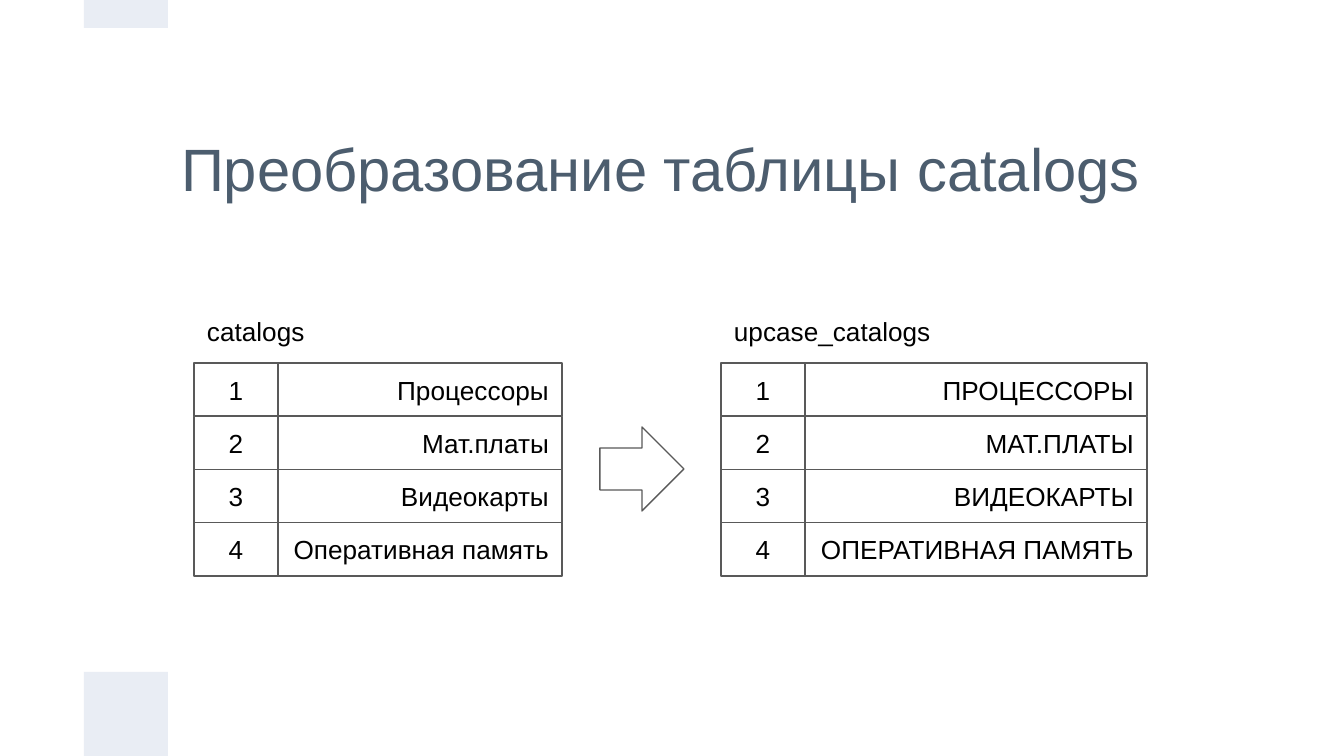
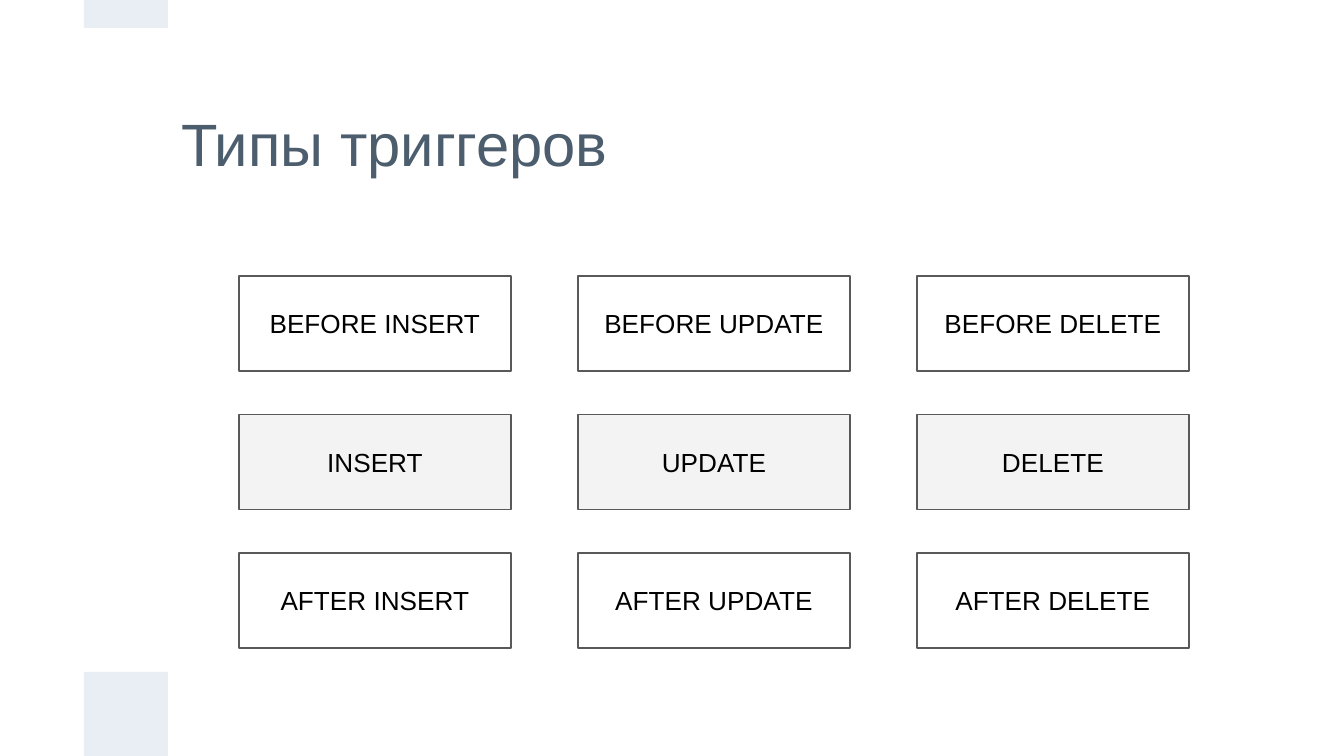
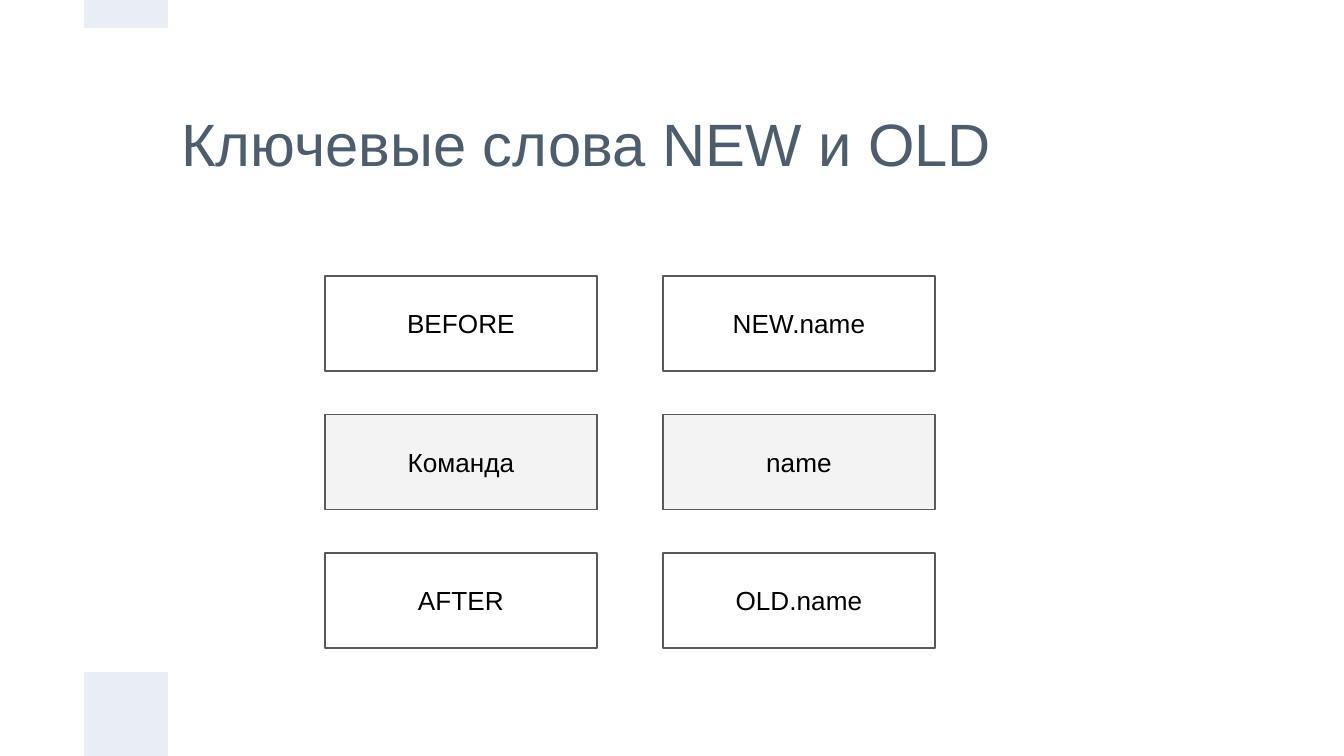
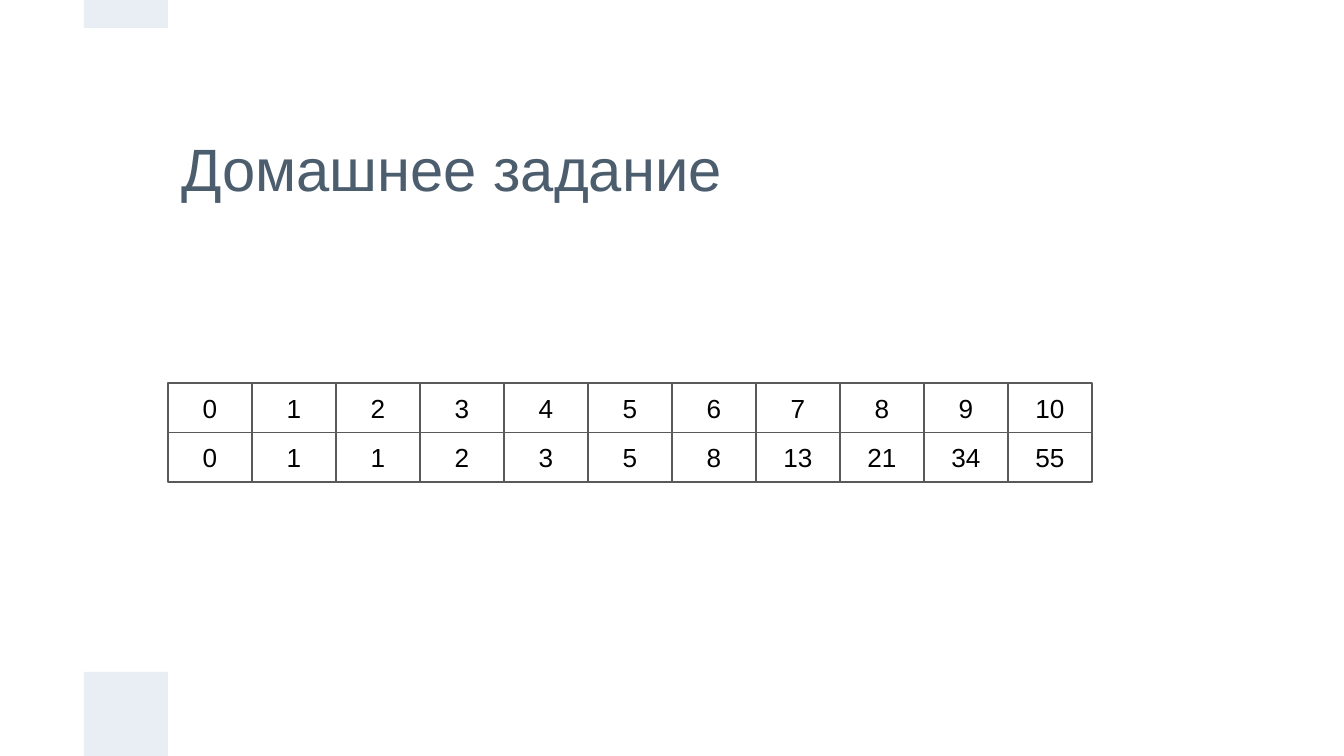
"""Build a four-slide deck on database views, triggers and homework."""
from dataclasses import dataclass

from pptx import Presentation, util as u
from pptx.dml.color import RGBColor
from pptx.enum import shapes, text

EMU_PER_PIXEL = 914400 / 134.4
PAGE_WIDTH, PAGE_HEIGHT = 1344, 756
TITLE_ONLY = 5
LEFT, CENTER, RIGHT = text.PP_ALIGN.LEFT, text.PP_ALIGN.CENTER, text.PP_ALIGN.RIGHT


@dataclass(frozen=True)
class Theme:
    """Colours, type and line sizes shared by all slides."""
    font: str = "Arial"
    title_size: int = 32
    body_size: int = 14
    title: str = "4C5D6E"
    body: str = "000000"
    band: str = "E9EDF4"
    line: str = "595959"
    command: str = "F3F3F3"
    line_width: float = 0.75
    inset: int = 13


@dataclass(frozen=True)
class Box:
    """A rectangle in pixels."""
    left: float
    top: float
    width: float
    height: float

    def emu(self) -> tuple[u.Emu, ...]:
        """Return the four lengths in EMU."""
        return tuple(px(n) for n in (self.left, self.top, self.width, self.height))


@dataclass(frozen=True)
class Column:
    """A stack of cells of equal height that fills a box without gaps."""
    box: Box
    words: tuple[str, ...]
    align: text.PP_ALIGN = CENTER


@dataclass(frozen=True)
class Cards:
    """Equal cards spread over a box; the middle row holds the commands."""
    box: Box
    rows: tuple[tuple[str, ...], ...]
    width: int = 272
    height: int = 95


THEME = Theme()
BANDS = (Box(84, 672, 84, 84), Box(84, 0, 84, 28))
TALL_TITLE = Box(168, 84, 1008, 168)
SHORT_TITLE = Box(168, 84, 1008, 117)
NUMBER_WIDTH = 84


def px(pixels: float) -> u.Emu:
    """Convert pixels to EMU."""
    return u.Emu(round(pixels * EMU_PER_PIXEL))


def write(frame, words: str, align=LEFT, size: int = THEME.body_size,
          color: str = THEME.body, anchor=text.MSO_ANCHOR.MIDDLE, wrap: bool = True) -> None:
    """Put formatted words into a text frame with equal insets."""
    frame.text = words
    frame.auto_size = text.MSO_AUTO_SIZE.NONE
    frame.margin_left = frame.margin_right = px(THEME.inset)
    frame.margin_top = frame.margin_bottom = px(THEME.inset)
    frame.vertical_anchor = anchor
    frame.word_wrap = wrap
    for para in frame.paragraphs:
        para.alignment = align
        for span in para.runs:
            span.font.name = THEME.font
            span.font.size = u.Pt(size)
            span.font.color.rgb = RGBColor.from_string(color)


def add_page(deck, title: str, title_box: Box):
    """Add a slide with its title and the two bands."""
    page = deck.slides.add_slide(deck.slide_layouts[TITLE_ONLY])
    holder = page.shapes.title
    holder.left, holder.top, holder.width, holder.height = title_box.emu()
    write(holder.text_frame, title, size=THEME.title_size, color=THEME.title)
    for band in BANDS:
        add_figure(page, band, fill=THEME.band, outlined=False)
    return page


def add_figure(page, box: Box, kind=shapes.MSO_SHAPE.RECTANGLE,
               fill: str | None = None, outlined: bool = True):
    """Add a flat preset shape, filled or hollow."""
    figure = page.shapes.add_shape(kind, *box.emu())
    figure.shadow.inherit = False
    if fill:
        figure.fill.solid()
        figure.fill.fore_color.rgb = RGBColor.from_string(fill)
    else:
        figure.fill.background()
    if outlined:
        figure.line.color.rgb = RGBColor.from_string(THEME.line)
        figure.line.width = u.Pt(THEME.line_width)
    else:
        figure.line.fill.background()
    return figure


def add_caption(page, box: Box, words: str) -> None:
    """Add a one-line caption."""
    frame = page.shapes.add_textbox(*box.emu()).text_frame
    write(frame, words, anchor=text.MSO_ANCHOR.TOP, wrap=False)


def add_column(page, column: Column) -> None:
    """Add a stack of outlined cells."""
    box = column.box
    height = box.height / len(column.words)
    for i, word in enumerate(column.words):
        cell = add_figure(page, Box(box.left, box.top + i * height, box.width, height))
        write(cell.text_frame, word, column.align)


def add_cards(page, cards: Cards) -> None:
    """Add rows of cards, with the middle row shaded."""
    box, rows = cards.box, cards.rows
    across = (box.width - cards.width) / (len(rows[0]) - 1)
    down = (box.height - cards.height) / (len(rows) - 1)
    for i, words in enumerate(rows):
        fill = THEME.command if i == len(rows) // 2 else None
        for j, word in enumerate(words):
            place = Box(box.left + j * across, box.top + i * down, cards.width, cards.height)
            write(add_figure(page, place, fill=fill).text_frame, word, CENTER)


def add_catalog(page, name: str, left: int, caption_width: int, item_width: int,
                items: tuple[str, ...]) -> None:
    """Add a captioned list of numbered items."""
    top, height = 363, 213
    numbers = tuple(str(n) for n in range(1, len(items) + 1))
    add_column(page, Column(Box(left, top, NUMBER_WIDTH, height), numbers))
    add_column(page, Column(Box(left + NUMBER_WIDTH, top, item_width, height), items, RIGHT))
    add_caption(page, Box(left, 302, caption_width, 60), name)


def build_catalogs(deck) -> None:
    """Show a table before and after conversion to upper case."""
    items = ("Процессоры", "Мат.платы", "Видеокарты", "Оперативная память")
    page = add_page(deck, "Преобразование таблицы catalogs", TALL_TITLE)
    add_catalog(page, "catalogs", 194, 125, 284, items)
    add_catalog(page, "upcase_catalogs", 721, 234, 342, tuple(item.upper() for item in items))
    add_figure(page, Box(600, 427, 84, 84), shapes.MSO_SHAPE.RIGHT_ARROW)


def build_triggers(deck) -> None:
    """Show the trigger types around each command."""
    commands = ("INSERT", "UPDATE", "DELETE")
    rows = (tuple(f"BEFORE {command}" for command in commands), commands,
            tuple(f"AFTER {command}" for command in commands))
    page = add_page(deck, "Типы триггеров", SHORT_TITLE)
    add_cards(page, Cards(Box(239, 276, 950, 372), rows))


def build_keywords(deck) -> None:
    """Show which keyword applies before and after a command."""
    rows = (("BEFORE", "NEW.name"), ("Команда", "name"), ("AFTER", "OLD.name"))
    page = add_page(deck, "Ключевые слова NEW и OLD", SHORT_TITLE)
    add_cards(page, Cards(Box(325, 276, 610, 372), rows))


def build_homework(deck) -> None:
    """Show the first Fibonacci numbers under their indexes."""
    numbers = [0, 1]
    while len(numbers) < 11:
        numbers.append(numbers[-2] + numbers[-1])
    page = add_page(deck, "Домашнее задание", TALL_TITLE)
    for index, number in enumerate(numbers):
        box = Box(168 + index * NUMBER_WIDTH, 383, NUMBER_WIDTH, 99)
        add_column(page, Column(box, (str(index), str(number))))


def main() -> None:
    """Build and save the deck."""
    deck = Presentation()
    deck.slide_width, deck.slide_height = px(PAGE_WIDTH), px(PAGE_HEIGHT)
    for build in (build_catalogs, build_triggers, build_keywords, build_homework):
        build(deck)
    deck.save("out.pptx")


main()
